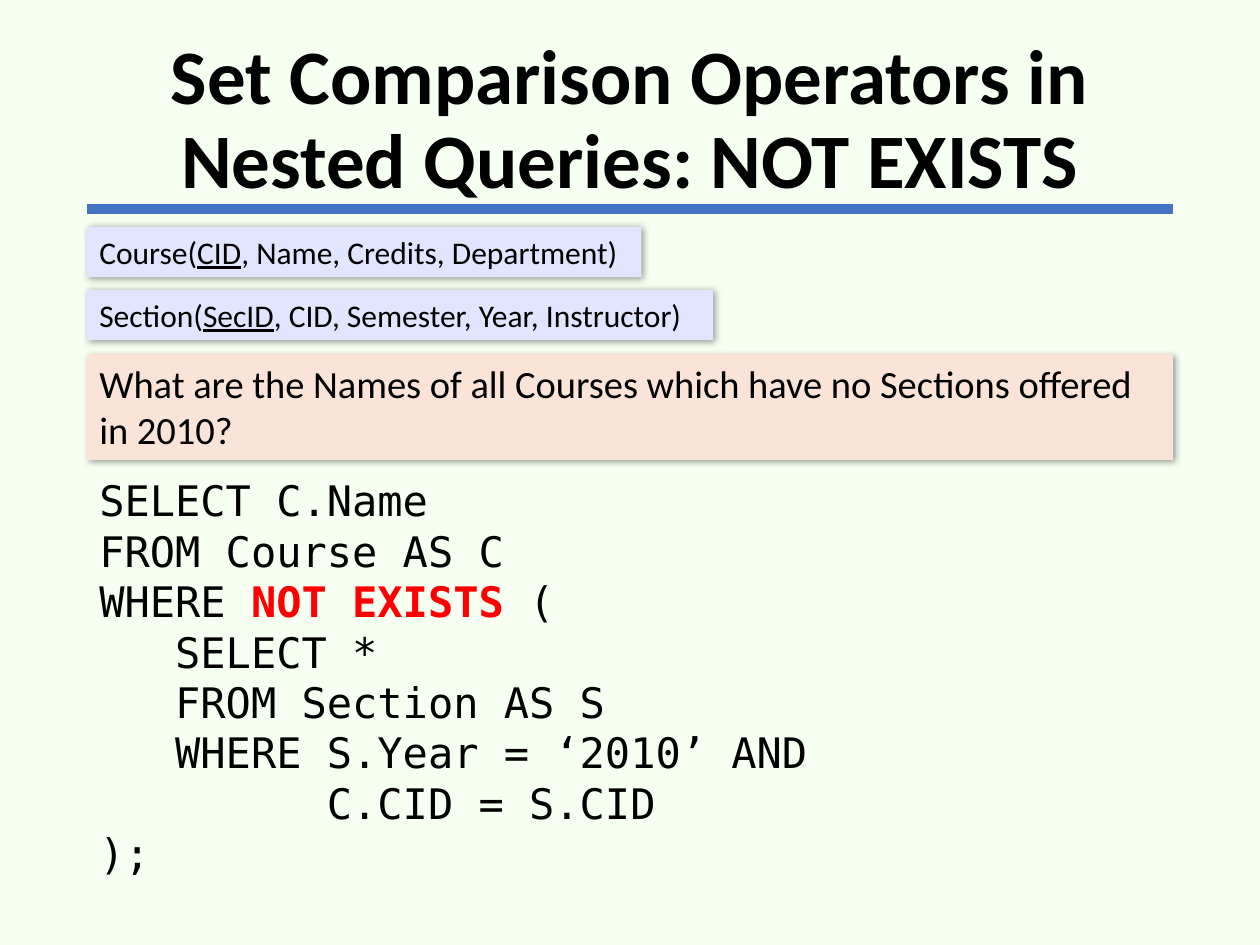
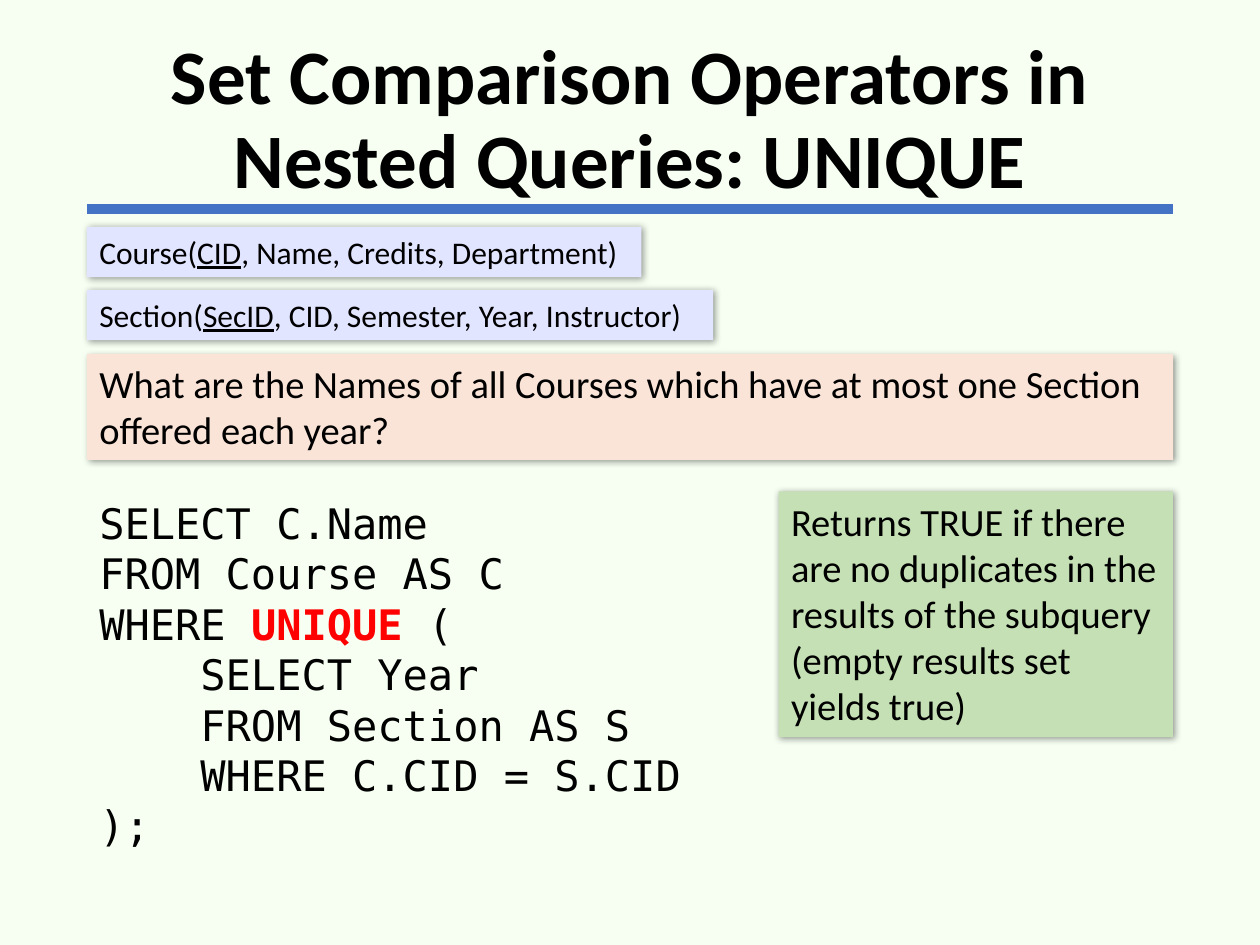
"""Builds two slides on set comparison operators in nested SQL queries."""
from lxml import etree
from pptx import Presentation
from pptx import util as u
from pptx.dml.color import RGBColor
from pptx.enum import shapes, text
from pptx.oxml.ns import qn

SANS, MONO = "Calibri", "DejaVu Sans Mono"
INK, KEYWORD, RULE, PAGE = "000000", "FF0000", "4472C4", "F7FFF3"
SCHEMA_FILL, QUESTION_FILL, NOTE_FILL = "E2E5FF", "FAE4D7", "C5E0B4"
LEFT, WIDTH = 0.69, 8.62
RIGHT = LEFT + WIDTH

TITLE = "Set Comparison Operators in Nested Queries: "
SCHEMAS = [
    ("Course(|CID|, Name, Credits, Department)", 4.4),
    ("Section(|SecID|, CID, Semester, Year, Instructor)", 4.97),
]
SLIDES = [
    {
        "operator": "NOT EXISTS",
        "question": "What are the Names of all Courses which have no Sections offered in 2010?",
        "query": [
            "SELECT C.Name",
            "FROM Course AS C",
            "WHERE |NOT EXISTS| (",
            "   SELECT *",
            "   FROM Section AS S",
            "   WHERE S.Year = ‘2010’ AND",
            "         C.CID = S.CID",
            ");",
        ],
        "query_at": (LEFT, 3.72, WIDTH, 3.33),
    },
    {
        "operator": "UNIQUE",
        "question": "What are the Names of all Courses which have at most one Section offered each year?",
        "query": [
            "SELECT C.Name",
            "FROM Course AS C",
            "WHERE |UNIQUE| (",
            "    SELECT Year",
            "    FROM Section AS S",
            "    WHERE C.CID = S.CID",
            ");",
        ],
        "query_at": (LEFT, 3.9, 4.97, 2.93),
        "note": "Returns TRUE if there are no duplicates in the results of the subquery "
                "(empty results set yields true)",
        "note_at": (6.18, 3.9, 3.13, 1.95),
    },
]


def color(value):
    return RGBColor.from_string(value)


def inches(*lengths):
    return [u.Inches(length) for length in lengths]


def write(frame, lines, size=22, font=SANS, bold=False, align=text.PP_ALIGN.LEFT,
          anchor=text.MSO_ANCHOR.TOP, spacing=1.0, mark=None):
    """Fill a frame; mark formats the parts set between bars."""
    frame.word_wrap = True
    frame.auto_size = text.MSO_AUTO_SIZE.NONE
    frame.vertical_anchor = anchor
    for index, line in enumerate(lines):
        paragraph = frame.add_paragraph() if index else frame.paragraphs[0]
        paragraph.alignment = align
        paragraph.line_spacing = spacing
        for place, part in enumerate(line.split("|")):
            run = paragraph.add_run()
            run.text = part
            run.font.name, run.font.size, run.font.bold = font, u.Pt(size), bold
            run.font.color.rgb = color(INK)
            if mark and place % 2:
                mark(run.font)


def underline(font):
    font.underline = True


def highlight(font):
    font.bold = True
    font.color.rgb = color(KEYWORD)


def add_panel(slide, at, fill, content, **style):
    panel = slide.shapes.add_shape(shapes.MSO_SHAPE.RECTANGLE, *inches(*at))
    panel.fill.solid()
    panel.fill.fore_color.rgb = color(fill)
    panel.line.fill.background()
    panel.shadow.inherit = False
    effects = panel._element.spPr.find(qn("a:effectLst"))
    shadow = etree.SubElement(effects, qn("a:outerShdw"), blurRad=str(u.Pt(4)),
                              dist=str(u.Pt(1)), dir="2700000", algn="tl", rotWithShape="0")
    tint = etree.SubElement(shadow, qn("a:srgbClr"), val=INK)
    etree.SubElement(tint, qn("a:alpha"), val="40000")
    write(panel.text_frame, [content], **style)


def add_heading(slide, heading):
    rule = slide.shapes.add_connector(shapes.MSO_CONNECTOR.STRAIGHT,
                                      *inches(LEFT, 1.66, RIGHT, 1.66))
    rule.line.color.rgb = color(RULE)
    rule.line.width = u.Pt(6)
    etree.SubElement(rule._element.spPr, qn("a:effectLst"))
    title = slide.shapes.title
    title.left, title.top, title.width, title.height = inches(LEFT, 0.24, WIDTH, 1.45)
    write(title.text_frame, [heading], size=44, bold=True, align=text.PP_ALIGN.CENTER,
          anchor=text.MSO_ANCHOR.MIDDLE, spacing=0.9)


def build_slide(deck, content):
    slide = deck.slides.add_slide(deck.slide_layouts[5])
    add_heading(slide, TITLE + content["operator"])
    add_panel(slide, (LEFT, 2.81, WIDTH, 0.84), QUESTION_FILL, content["question"])
    query = slide.shapes.add_textbox(*inches(*content["query_at"]))
    write(query.text_frame, content["query"], size=24, font=MONO, mark=highlight)
    for row, (schema, width) in enumerate(SCHEMAS):
        add_panel(slide, (LEFT, 1.8 + 0.5 * row, width, 0.4), SCHEMA_FILL, schema,
                  size=18, mark=underline)
    if "note" in content:
        add_panel(slide, content["note_at"], NOTE_FILL, content["note"])


def main():
    deck = Presentation()
    deck.slide_width, deck.slide_height = inches(10, 7.5)
    page = deck.slide_master.background.fill
    page.solid()
    page.fore_color.rgb = color(PAGE)
    for content in SLIDES:
        build_slide(deck, content)
    deck.save("out.pptx")


if __name__ == "__main__":
    main()
